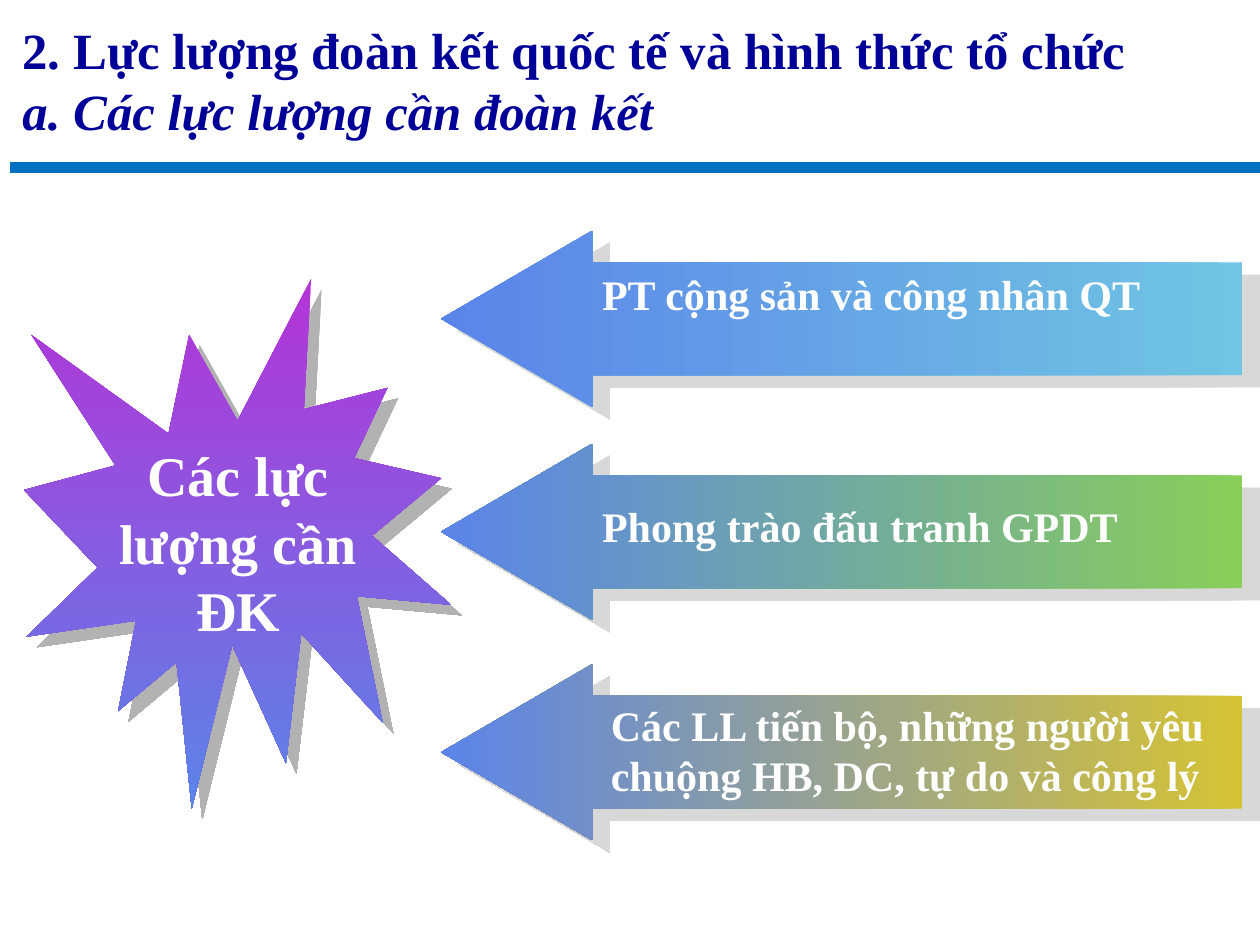
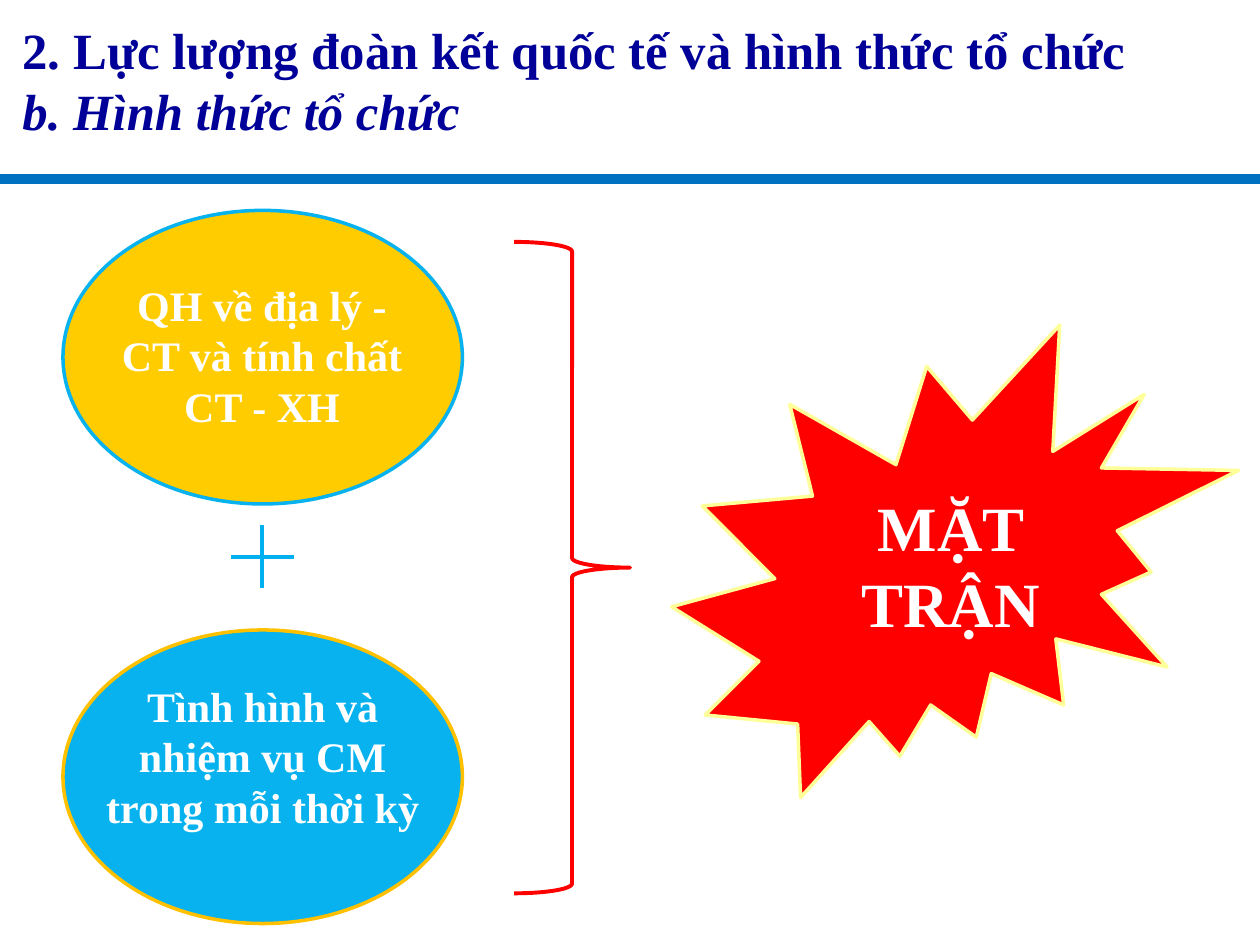
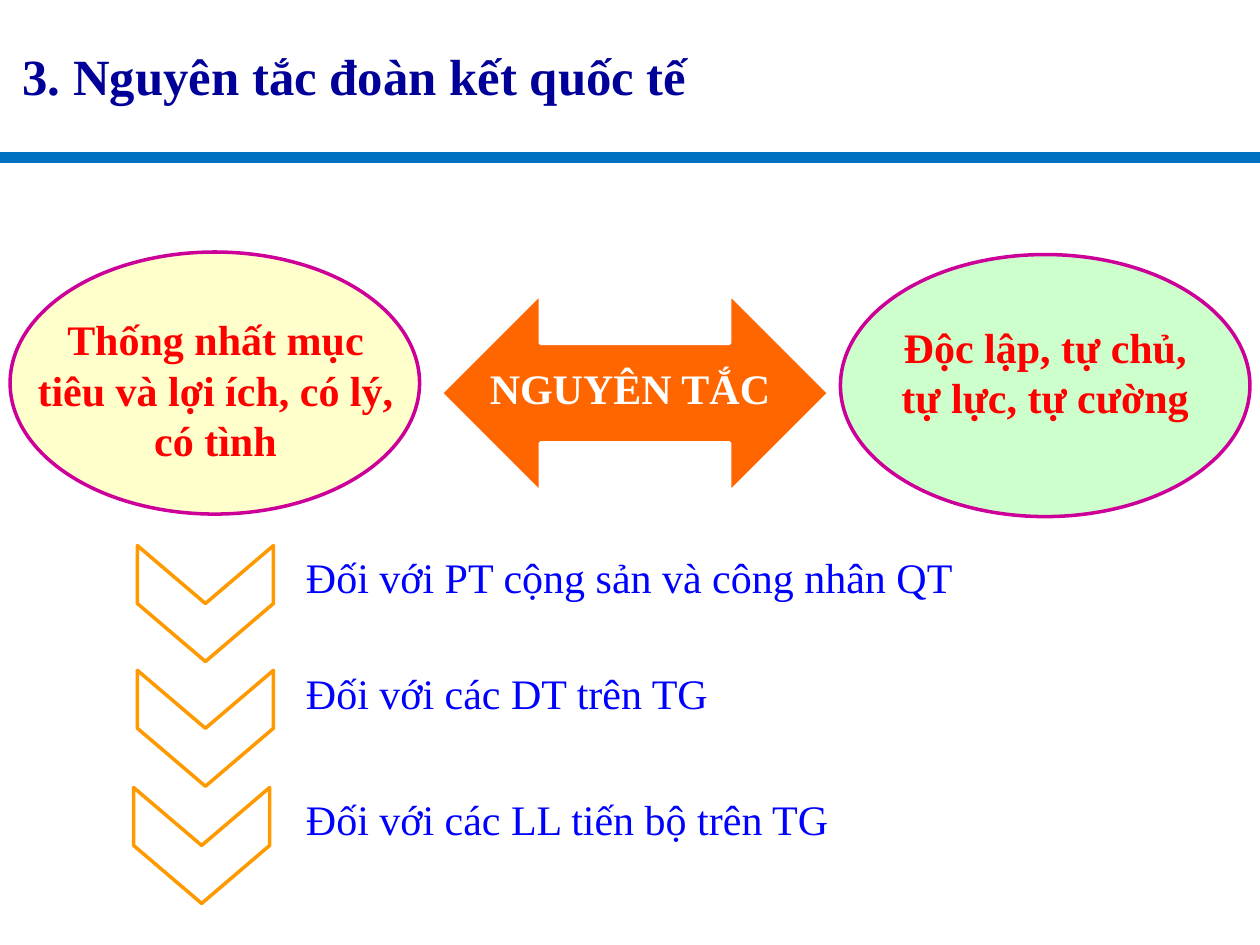
import pptx
import pptx.dml.color
import pptx.enum.shapes
import pptx.enum.text
import pptx.oxml
import pptx.oxml.ns
import pptx.util

Inches = pptx.util.Inches
Pt = pptx.util.Pt
SHAPES = pptx.enum.shapes.MSO_SHAPE
ALIGN = pptx.enum.text.PP_ALIGN

COLORS = {
    "navy": "000099", "rule": "0070C0", "white": "FFFFFF", "red": "FF0000",
    "blue": "0000FF", "sky": "07B2EF", "plus": "00B0F0", "gold": "FFCC00",
    "amber": "FFC000", "pale_yellow": "FFFF99", "cream": "FFFFCC",
    "mint": "CCFFCC", "magenta": "CC0099", "orange": "FF6600",
    "chevron": "FF9900", "violet": "B433D7", "periwinkle": "5B84E9",
    "aqua": "6FC5E3", "green": "88CE58", "mustard": "D6C334",
    "shadow": "B2B2B2",
}


def rgb(name):
    return pptx.dml.color.RGBColor.from_string(COLORS[name])


class Deck:
    """Holds the shared style and the slide being filled."""

    font = "Times New Roman"
    body_size = 24
    title_size = 29

    def __init__(self):
        self.prs = pptx.Presentation()
        self.prs.slide_width = Inches(10)
        self.prs.slide_height = Inches(7.5)
        self.slide = None

    def new_slide(self, title_lines, title_top, title_height, rule_y, rule_x=0):
        """Start a slide with its title and rule; a second title line is italic."""
        self.slide = self.prs.slides.add_slide(self.prs.slide_layouts[6])
        self.line((rule_x, rule_y), (rule_x + 10, rule_y), "rule", 6)
        self.text((0.08, title_top, 9.75, title_height), title_lines, "navy",
                  size=self.title_size, align=ALIGN.JUSTIFY)

    def line(self, start, end, color, width):
        connector = self.slide.shapes.add_connector(
            pptx.enum.shapes.MSO_CONNECTOR.STRAIGHT,
            *(Inches(v) for v in (*start, *end)))
        connector.line.color.rgb = rgb(color)
        connector.line.width = Pt(width)
        properties = connector._element.spPr
        properties.append(pptx.oxml.parse_xml(
            f"<a:effectLst {pptx.oxml.ns.nsdecls('a')}/>"))

    def text(self, box, lines, color, size=body_size, bold=True, align=ALIGN.LEFT):
        frame = self.slide.shapes.add_textbox(*(Inches(v) for v in box)).text_frame
        frame.word_wrap = True
        frame.auto_size = pptx.enum.text.MSO_AUTO_SIZE.SHAPE_TO_FIT_TEXT
        for index, words in enumerate(lines):
            paragraph = frame.add_paragraph() if index else frame.paragraphs[0]
            paragraph.alignment = align
            run = paragraph.add_run()
            run.text = words
            run.font.name = self.font
            run.font.size = Pt(size)
            run.font.bold = bold
            run.font.italic = True if index else None
            run.font.color.rgb = rgb(color)

    def shape(self, kind, box, fill=None, line=None, width=2, adjust=(), rotation=0):
        shape = self.slide.shapes.add_shape(kind, *(Inches(v) for v in box))
        shape.shadow.inherit = False
        shape.rotation = rotation
        for index, value in enumerate(adjust):
            shape.adjustments[index] = value
        if fill:
            shape.fill.solid()
            shape.fill.fore_color.rgb = rgb(fill)
        else:
            shape.fill.background()
        if line:
            shape.line.color.rgb = rgb(line)
            shape.line.width = Pt(width)
        else:
            shape.line.fill.background()
        return shape

    def gradient_shape(self, kind, box, colors, angle, shadow, **options):
        """Add a gradient shape; shadow is (alpha %, distance pt, direction)."""
        shape = self.shape(kind, box, **options)
        shape.fill.gradient()
        shape.fill.gradient_angle = angle
        for stop, color, position in zip(shape.fill.gradient_stops, colors, (0, 1)):
            stop.color.rgb = rgb(color)
            stop.position = position
        alpha, distance, direction = shadow
        effects = shape._element.spPr.find(pptx.oxml.ns.qn("a:effectLst"))
        effects.append(pptx.oxml.parse_xml(
            f'<a:outerShdw {pptx.oxml.ns.nsdecls("a")} dist="{Pt(distance)}" '
            f'dir="{direction * 60000}" algn="ctr" rotWithShape="0">'
            f'<a:srgbClr val="{COLORS["shadow"]}">'
            f'<a:alpha val="{alpha * 1000}"/></a:srgbClr></a:outerShdw>'))


def forces_slide(deck):
    deck.new_slide(["2. Lực lượng đoàn kết quốc tế và hình thức tổ chức",
                    "a. Các lực lượng cần đoàn kết"], 0.1, 1.07, 1.33, rule_x=0.08)
    deck.gradient_shape(SHAPES.EXPLOSION1, (0.19, 2.21, 3.39, 4.21),
                        ("violet", "periwinkle"), 270, (100, 8.5, 45))
    deck.text((0.83, 3.45, 2.12, 1.7), ["Các lực lượng cần ĐK"], "white",
              size=32, align=ALIGN.CENTER)

    arrow_width, arrow_length = 1.4, 6.36
    forces = [
        (2.53, "aqua", (4.68, 2.08, 5.2, 0.5), "PT cộng sản và công nhân QT"),
        (4.22, "green", (4.68, 3.92, 5.08, 0.5), "Phong trào đấu tranh GPDT"),
        (5.97, "mustard", (4.75, 5.5, 4.94, 0.9),
         "Các LL tiến bộ, những người yêu chuộng HB, DC, tự do và công lý"),
    ]
    for center_y, tail_color, label_box, label in forces:
        deck.gradient_shape(
            SHAPES.UP_ARROW,
            (5.98, center_y - arrow_length / 2, arrow_width, arrow_length),
            (tail_color, "periwinkle"), 90, (50, 12.2, 35),
            adjust=(0.639, 0.858), rotation=270)
        deck.text(label_box, [label], "white")


def organisation_slide(deck):
    deck.new_slide(["2. Lực lượng đoàn kết quốc tế và hình thức tổ chức",
                    "b. Hình thức tổ chức"], 0.1, 1.07, 1.42)
    bases = [
        (1.67, "gold", "sky", (0.83, 2.17, 2.5, 1.3),
         "QH về địa lý - CT và tính chất CT - XH"),
        (5, "sky", "amber", (0.67, 5.35, 2.83, 1.3),
         "Tình hình và nhiệm vụ CM trong mỗi thời kỳ"),
    ]
    for top, fill, outline, label_box, label in bases:
        deck.shape(SHAPES.OVAL, (0.5, top, 3.17, 2.33), fill, outline)
        deck.text(label_box, [label], "white", align=ALIGN.CENTER)

    plus_x, plus_y, arm = 2.08, 4.42, 0.25
    deck.line((plus_x, plus_y - arm), (plus_x, plus_y + arm), "plus", 2.25)
    deck.line((plus_x - arm, plus_y), (plus_x + arm, plus_y), "plus", 2.25)

    deck.shape(SHAPES.RIGHT_BRACE, (4.08, 1.92, 0.92, 5.17), line="red",
               width=2.25, adjust=(0.083, 0.5))
    deck.shape(SHAPES.EXPLOSION2, (5.33, 2.58, 4.5, 3.75), "red", "pale_yellow")
    deck.text((6.42, 3.83, 2.25, 1.3), ["MẶT TRẬN"], "white",
              size=36, align=ALIGN.CENTER)


def principles_slide(deck):
    deck.new_slide(["3. Nguyên tắc đoàn kết quốc tế"], 0.31, 0.59, 1.25)
    principles = [
        (0.08, 2, "cream", (0.17, 2.44, 3.08, 1.3),
         "Thống nhất mục tiêu và lợi ích, có lý, có tình"),
        (6.67, 2.02, "mint", (6.92, 2.5, 2.75, 0.9),
         "Độc lập, tự chủ, tự lực, tự cường"),
    ]
    for left, top, fill, label_box, label in principles:
        deck.shape(SHAPES.OVAL, (left, top, 3.25, 2.08), fill, "magenta")
        deck.text(label_box, [label], "red", align=ALIGN.CENTER)

    deck.shape(SHAPES.LEFT_RIGHT_ARROW, (3.5, 2.33, 3.08, 1.58), "orange", "white",
               adjust=(0.5, 0.5))
    deck.text((3.75, 2.83, 2.5, 0.5), ["NGUYÊN TẮC"], "white", align=ALIGN.CENTER)

    partners = [
        (1.17, 4.25, 4.33, "Đối với PT cộng sản và công nhân QT"),
        (1.17, 5.24, 5.25, "Đối với các DT trên TG"),
        (1.14, 6.17, 6.25, "Đối với các LL tiến bộ trên TG"),
    ]
    for chevron_left, chevron_top, label_top, label in partners:
        deck.shape(SHAPES.CHEVRON, (chevron_left, chevron_top, 0.92, 1.08),
                   "white", "chevron", adjust=(0.5,), rotation=90)
        deck.text((2.33, label_top, 5.5, 0.5), [label], "blue", bold=False)


def main():
    deck = Deck()
    forces_slide(deck)
    organisation_slide(deck)
    principles_slide(deck)
    deck.prs.save("out.pptx")


if __name__ == "__main__":
    main()
